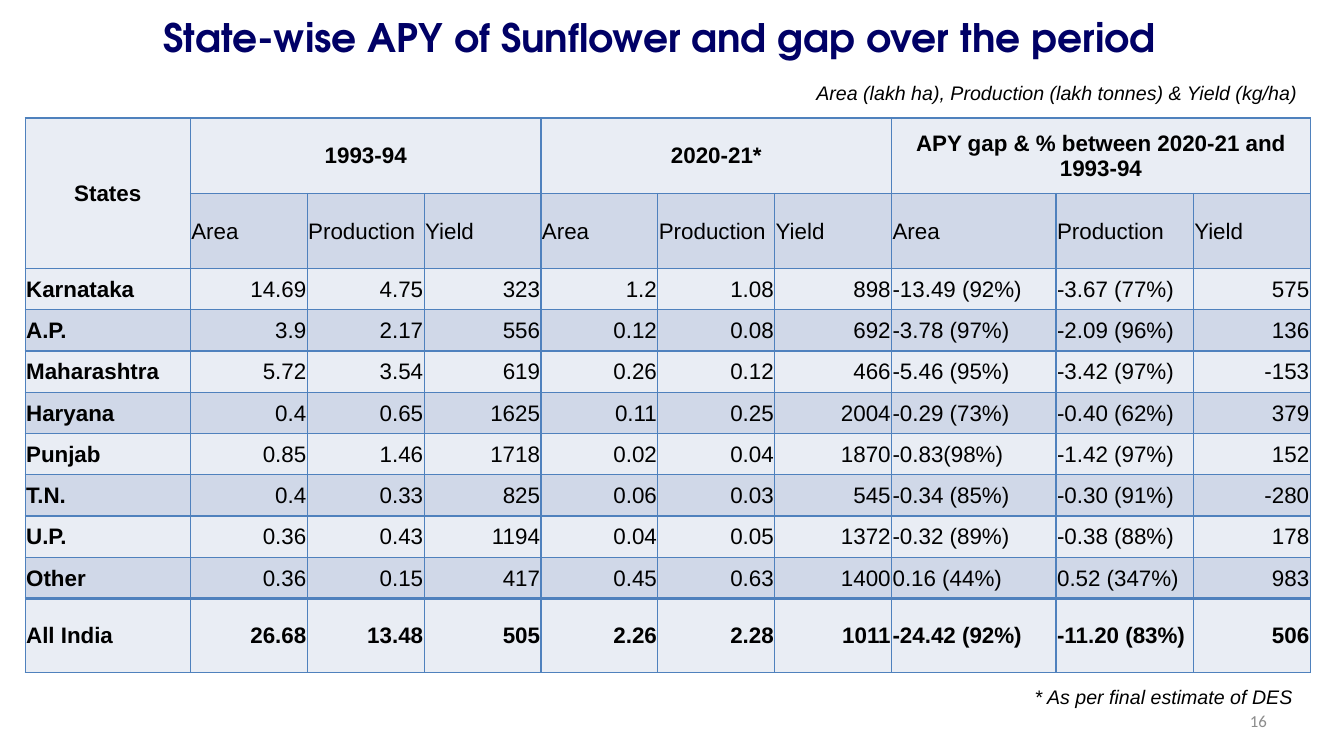
from lxml.etree import SubElement
from pptx import Presentation
from pptx.dml.color import RGBColor
from pptx.enum.text import MSO_ANCHOR, MSO_AUTO_SIZE, PP_ALIGN
from pptx.oxml.ns import qn
from pptx.util import Pt

LINE, LIGHT, DARK = "4F81BD", "E9EDF4", "D0D8E8"
MEASURES = ["Area", "Production", "Yield"]
PERIODS = ["1993-94", "2020-21*", "APY gap & % between 2020-21 and 1993-94"]
STATES = [
    ["Karnataka", "14.69", "4.75", "323", "1.2", "1.08", "898", "-13.49 (92%)", "-3.67 (77%)", "575"],
    ["A.P.", "3.9", "2.17", "556", "0.12", "0.08", "692", "-3.78 (97%)", "-2.09 (96%)", "136"],
    ["Maharashtra", "5.72", "3.54", "619", "0.26", "0.12", "466", "-5.46 (95%)", "-3.42 (97%)", "-153"],
    ["Haryana", "0.4", "0.65", "1625", "0.11", "0.25", "2004", "-0.29 (73%)", "-0.40 (62%)", "379"],
    ["Punjab", "0.85", "1.46", "1718", "0.02", "0.04", "1870", "-0.83(98%)", "-1.42 (97%)", "152"],
    ["T.N.", "0.4", "0.33", "825", "0.06", "0.03", "545", "-0.34 (85%)", "-0.30 (91%)", "-280"],
    ["U.P.", "0.36", "0.43", "1194", "0.04", "0.05", "1372", "-0.32 (89%)", "-0.38 (88%)", "178"],
    ["Other", "0.36", "0.15", "417", "0.45", "0.63", "1400", "0.16 (44%)", "0.52 (347%)", "983"],
    ["All India", "26.68", "13.48", "505", "2.26", "2.28", "1011", "-24.42 (92%)", "-11.20 (83%)", "506"],
]


def rgb(value):
    """Return the colour for a hex string."""
    return RGBColor.from_string(value)


def write(tf, text, size=16, font="Arial", color="000000", bold=False, italic=False, align=PP_ALIGN.LEFT):
    """Write one formatted paragraph into a text frame."""
    p = tf.paragraphs[0]
    p.alignment = align
    r = p.add_run()
    r.text = text
    r.font.size, r.font.name = Pt(size), font
    r.font.bold, r.font.italic = bold, italic
    r.font.color.rgb = rgb(color)


def add_title(s, text, left, top, width, height):
    """Place the slide title in the given box."""
    sp = s.shapes.title
    sp.left, sp.top, sp.width, sp.height = Pt(left), Pt(top), Pt(width), Pt(height)
    tf = sp.text_frame
    tf.vertical_anchor, tf.auto_size = MSO_ANCHOR.TOP, MSO_AUTO_SIZE.NONE
    write(tf, text, size=28, font="TeX Gyre Adventor", color="000066", bold=True, align=PP_ALIGN.CENTER)


def add_note(s, text, left, top, width, height, wrap=True, anchor=MSO_ANCHOR.TOP, **fmt):
    """Place a single line of text in the given box."""
    tf = s.shapes.add_textbox(Pt(left), Pt(top), Pt(width), Pt(height)).text_frame
    tf.word_wrap, tf.vertical_anchor = wrap, anchor
    write(tf, text, **fmt)


def style_cell(cell, fill, top=1, bottom=1):
    """Set the margins, borders and fill of a table cell."""
    cell.margin_left = cell.margin_right = cell.margin_top = Pt(0.72)
    cell.margin_bottom = Pt(0)
    cell.vertical_anchor = MSO_ANCHOR.MIDDLE
    tcPr = cell._tc.get_or_add_tcPr()
    for side, width in (("L", 1), ("R", 1), ("T", top), ("B", bottom)):
        ln = SubElement(tcPr, qn(f"a:ln{side}"), w=str(Pt(width)))
        SubElement(SubElement(ln, qn("a:solidFill")), qn("a:srgbClr"), val=LINE)
    cell.fill.solid()
    cell.fill.fore_color.rgb = rgb(fill)


def add_apy_table(s, left, top, width, height):
    """Place the state-wise table in the given box."""
    heading = ["States"] + [text for period in PERIODS for text in (period, "", "")]
    rows = [heading, [""] + MEASURES * len(PERIODS)] + STATES
    last = len(rows) - 1
    frame = s.shapes.add_table(len(rows), len(heading), Pt(left), Pt(top), Pt(width), Pt(height))
    table = frame.table
    table.first_row = table.horz_banding = False
    col_widths = [118] + [83.5] * 6 + [117.5, 98, 83.5]
    row_heights = [54, 53.5] + [29.5] * 8 + [53]
    for col, share in zip(table.columns, col_widths):
        col.width = Pt(width * share / sum(col_widths))
    for row, share in zip(table.rows, row_heights):
        row.height = Pt(height * share / sum(row_heights))
    table.cell(0, 0).merge(table.cell(1, 0))
    for first in (1, 4, 7):
        table.cell(0, first).merge(table.cell(0, first + 2))
    for i, row in enumerate(rows):
        for j, text in enumerate(row):
            cell = table.cell(i, j)
            style_cell(cell, DARK if i % 2 else LIGHT,
                       top=2 if i == last else 1, bottom=2 if i == last - 1 else 1)
            if not text:
                continue
            if i == 0:
                align = PP_ALIGN.CENTER
            elif i == 1 or j in (0, 7, 8):
                align = PP_ALIGN.LEFT
            else:
                align = PP_ALIGN.RIGHT
            write(cell.text_frame, text, bold=i in (0, last) or j == 0, align=align)


def main():
    """Build and save the slide."""
    prs = Presentation()
    prs.slide_width, prs.slide_height = Pt(960), Pt(540)
    s = prs.slides.add_slide(prs.slide_layouts[5])
    add_title(s, "State-wise APY of Sunflower and gap over the period", 12, 6, 918, 41)
    add_note(s, "Area (lakh ha), Production (lakh tonnes) & Yield (kg/ha)", 576, 54, 372, 24.5,
             size=14, italic=True)
    add_apy_table(s, 18, 84.25, 918, 396.5)
    add_note(s, "* As per final estimate of DES", 732, 486, 200, 24.5, wrap=False, size=14, italic=True)
    add_note(s, "16", 688, 500.5, 224, 29, anchor=MSO_ANCHOR.MIDDLE,
             size=12, font="Calibri", color="8C8C8C", align=PP_ALIGN.RIGHT)
    prs.save("out.pptx")


if __name__ == "__main__":
    main()
